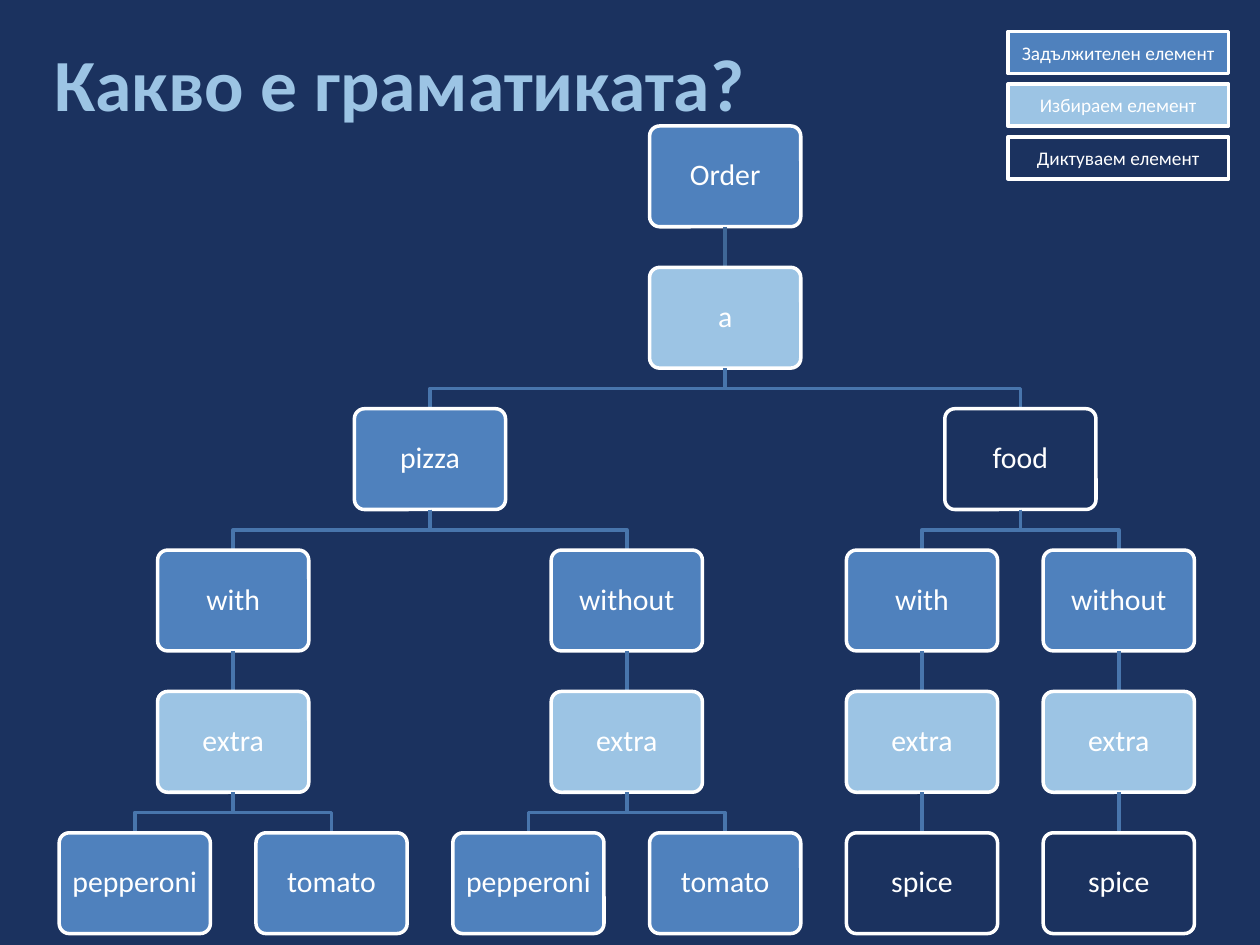
from itertools import count

from lxml import etree
from pptx import Presentation
from pptx import util as u
from pptx.dml.color import RGBColor
from pptx.enum import shapes, text
from pptx.oxml.ns import qn

NAVY, BLUE, SKY, WHITE = "1B325F", "4F81BD", "9CC4E4", "FFFFFF"
STEM, BRANCH = "3F6797", "4875AC"
FONT = "Calibri"
WIDTH, HEIGHT = 10, 7.5
LEVELS, LEAVES = 6, 6
NODE_WIDTH, NODE_HEIGHT = 1.2, 0.8

LEGEND = [("Задължителен елемент", BLUE),
          ("Избираем елемент", SKY),
          ("Диктуваем елемент", NAVY)]


def topping_branch(word):
    return (word, BLUE, [("extra", SKY, [("pepperoni", BLUE, []),
                                         ("tomato", BLUE, [])])])


def spice_branch(word):
    return (word, BLUE, [("extra", SKY, [("spice", NAVY, [])])])


# Each node is (word, fill, children)
GRAMMAR = ("Order", BLUE, [("a", SKY, [
    ("pizza", BLUE, [topping_branch("with"), topping_branch("without")]),
    ("food", NAVY, [spice_branch("with"), spice_branch("without")]),
])])


def colour(value):
    return RGBColor.from_string(value)


def add_run(para, words, size, value, bold=False):
    span = para.add_run()
    span.text = words
    span.font.name = FONT
    span.font.size = u.Pt(size)
    span.font.bold = bold
    span.font.color.rgb = colour(value)


def add_box(page, kind, box, fill, words, size):
    shape = page.shapes.add_shape(kind, *[u.Inches(length) for length in box])
    shape.shadow.inherit = False
    shape.fill.solid()
    shape.fill.fore_color.rgb = colour(fill)
    shape.line.color.rgb = colour(WHITE)
    shape.line.width = u.Pt(2)
    frame = shape.text_frame
    frame.word_wrap = True
    frame.vertical_anchor = text.MSO_ANCHOR.MIDDLE
    para = frame.paragraphs[0]
    para.alignment = text.PP_ALIGN.CENTER
    add_run(para, words, size, WHITE)
    return shape


def add_title(page, box):
    title = page.shapes.add_textbox(*[u.Inches(length) for length in box])
    frame = title.text_frame
    frame.word_wrap = False
    frame.auto_size = text.MSO_AUTO_SIZE.SHAPE_TO_FIT_TEXT
    add_run(frame.paragraphs[0], "Какво е граматиката?", 42, SKY, bold=True)


def add_legend(page, box):
    left, top, width, height = box
    # Keys are four units high with gaps of one unit
    unit = height / (5 * len(LEGEND) - 1)
    for row, (words, fill) in enumerate(LEGEND):
        add_box(page, shapes.MSO_SHAPE.RECTANGLE,
                (left, top + 5 * row * unit, width, 4 * unit), fill, words, 11)


def add_link(page, start, end, value):
    """Straight line below a parent, or a bent one to a child at the side."""
    x1, y1, x2, y2 = [u.Inches(length) for length in (*start, *end)]
    if x1 == x2:
        link = page.shapes.add_connector(
            shapes.MSO_CONNECTOR.STRAIGHT, x1, y1, x2, y2)
        etree.SubElement(link._element.spPr, qn("a:effectLst"))
    else:
        middle = (y1 + y2) // 2
        builder = page.shapes.build_freeform(x1, y1)
        builder.add_line_segments([(x1, middle), (x2, middle), (x2, y2)],
                                  close=False)
        link = builder.convert_to_shape()
        link.shadow.inherit = False
        link.fill.background()
    link.line.color.rgb = colour(value)
    link.line.width = u.Pt(2)


def place(node, leaf_columns):
    """Give leaves the next column and centre each parent over its children."""
    word, fill, children = node
    placed = [place(child, leaf_columns) for child in children]
    if placed:
        column = (placed[0][0] + placed[-1][0]) / 2
    else:
        column = next(leaf_columns)
    return column, word, fill, placed


def add_tree(page, box):
    left, top, width, height = box
    column_step = (width - NODE_WIDTH) / (LEAVES - 1)
    row_step = (height - NODE_HEIGHT) / (LEVELS - 1)

    def centre(column):
        return left + NODE_WIDTH / 2 + column * column_step

    def draw(node, row):
        column, word, fill, children = node
        middle, node_top = centre(column), top + row * row_step
        shape = add_box(page, shapes.MSO_SHAPE.ROUNDED_RECTANGLE,
                        (middle - NODE_WIDTH / 2, node_top,
                         NODE_WIDTH, NODE_HEIGHT), fill, word, 17)
        shape.adjustments[0] = 0.1
        frame = shape.text_frame
        frame.margin_left = frame.margin_right = u.Inches(0.07)
        frame.margin_top = frame.margin_bottom = u.Inches(0.07)
        frame.paragraphs[0].line_spacing = 0.9
        for child in children:
            add_link(page, (middle, node_top + NODE_HEIGHT),
                     (centre(child[0]), node_top + row_step),
                     BRANCH if row else STEM)
            draw(child, row + 1)

    draw(place(GRAMMAR, count()), 0)


def main():
    deck = Presentation()
    deck.slide_width, deck.slide_height = u.Inches(WIDTH), u.Inches(HEIGHT)
    page = deck.slides.add_slide(deck.slide_layouts[6])
    page.background.fill.solid()
    page.background.fill.fore_color.rgb = colour(NAVY)

    # Title, grammar tree, colour key
    add_title(page, (WIDTH / 30, 0.25, 5.73, 0.81))
    add_tree(page, (0.47, 1, 9.01, 6.41))
    add_legend(page, (0.8 * WIDTH, 0.25, 1.75, 1.17))

    deck.save("out.pptx")


if __name__ == "__main__":
    main()
